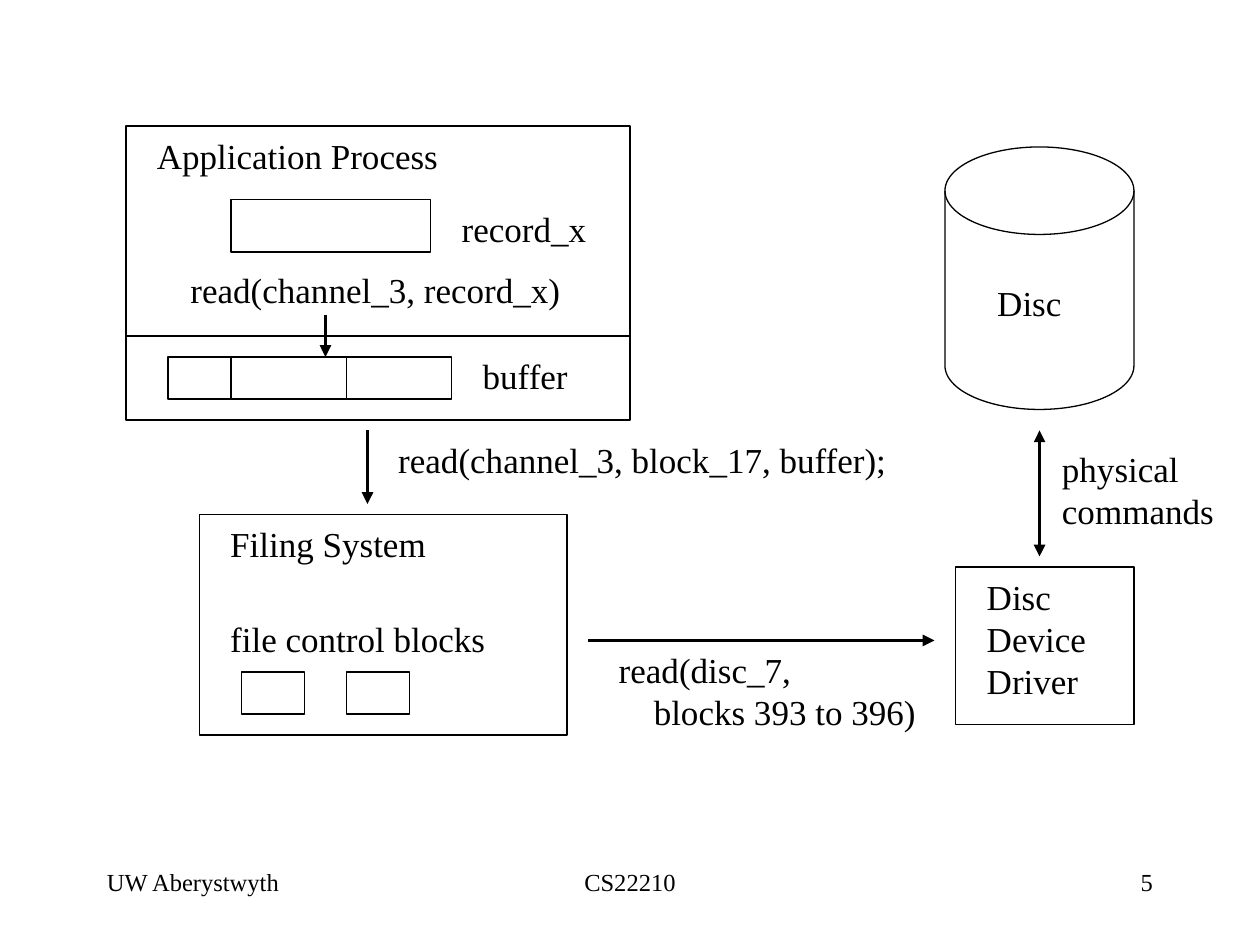
"""Build the slide that follows a file read from application process to disc."""
from pptx import Presentation
from pptx.dml.color import RGBColor
from pptx.enum.shapes import MSO_CONNECTOR as CONN, MSO_SHAPE as SHAPE
from pptx.enum.text import MSO_AUTO_SIZE as FIT, PP_ALIGN as ALIGN
from pptx.oxml.ns import qn
from pptx.util import Pt
from lxml.etree import SubElement

BLACK = RGBColor(0, 0, 0)


class Diagram:
    font, size, footer_size = "Times New Roman", 20, 14
    thin, thick = 0.75, 2.25

    def __init__(self, slide):
        self.s = slide

    def shape(self, x, y, w, h, kind=SHAPE.RECTANGLE):
        sp = self.s.shapes.add_shape(kind, Pt(x), Pt(y), Pt(w), Pt(h))
        sp.shadow.inherit = False
        sp.fill.background()
        sp.line.color.rgb = BLACK
        sp.line.width = Pt(self.thin)

    def line(self, x1, y1, x2, y2, width=thin, ends=()):
        cx = self.s.shapes.add_connector(CONN.STRAIGHT, Pt(x1), Pt(y1), Pt(x2), Pt(y2))
        cx.line.color.rgb = BLACK
        cx.line.width = Pt(width)
        ln = cx.line._get_or_add_ln()
        for end in ends:
            SubElement(ln, qn(f"a:{end}"), type="triangle")
        SubElement(cx._element.spPr, qn("a:effectLst"))

    def arrow(self, x1, y1, x2, y2, ends=("tailEnd",)):
        self.line(x1, y1, x2, y2, self.thick, ends)

    def text(self, text, x, y, w, h, size=size, align=ALIGN.LEFT, wrap=False, hang=0):
        tf = self.s.shapes.add_textbox(Pt(x), Pt(y), Pt(w), Pt(h)).text_frame
        tf.word_wrap = wrap
        tf.auto_size = FIT.NONE if wrap else FIT.SHAPE_TO_FIT_TEXT
        p = tf.paragraphs[0]
        p.text = text
        p.alignment = align
        if hang:
            pPr = p._p.get_or_add_pPr()
            pPr.set("marL", str(Pt(hang)))
            pPr.set("indent", str(-Pt(hang)))
        p.font.name = self.font
        p.font.size = Pt(size)
        p.font.color.rgb = BLACK

    def label(self, text, x, y, w, lines=1, hang=0):
        self.text(text, x, y, w, 7.5 + 24 * lines, hang=hang)

    def footer(self, text, x, w, align):
        self.text(text, x, 492, w, 36, self.footer_size, align, wrap=True)


def main():
    prs = Presentation()
    prs.slide_width, prs.slide_height = Pt(720), Pt(540)
    d = Diagram(prs.slides.add_slide(prs.slide_layouts[6]))

    d.shape(72, 72, 288, 168)
    d.line(72, 192, 360, 192)
    d.shape(132, 114, 114, 30)
    d.label("Application Process", 82.5, 73.5, 178)
    d.label("record_x", 256.75, 115.25, 88)
    d.label("read(channel_3, record_x)", 101.75, 150, 230)
    d.shape(96, 204, 162, 24)
    for x in (132, 198):
        d.line(x, 204, x, 228)
    d.label("buffer", 268.75, 199.25, 66)

    d.shape(114, 294, 210, 126)
    d.label("Filing System", 124.5, 295.25, 130)
    for x in (138, 198):
        d.shape(x, 384, 36, 24)
    d.label("file control blocks", 124.5, 349.25, 164)
    d.arrow(186, 180, 186, 204)
    d.arrow(210, 246, 210, 288)
    d.label("read(channel_3, block_17, buffer);", 220.5, 247.25, 297)

    d.shape(546, 324, 102, 90)
    d.label("Disc\vDevice\vDriver", 556.75, 325.25, 74, 3)
    d.arrow(336, 366, 534, 366)
    d.label("read(disc_7,\vblocks 393 to 396)", 346.5, 367.25, 188, 2, hang=20)

    d.shape(540, 84, 108, 150, SHAPE.FLOWCHART_MAGNETIC_DISK)
    d.label("Disc", 562.75, 157.25, 54)
    d.arrow(594, 318, 594, 246, ("headEnd", "tailEnd"))
    d.label("physical\vcommands", 599.75, 252, 104, 2)

    d.footer("CS22210", 246, 228, ALIGN.CENTER)
    d.footer("5", 516, 150, ALIGN.RIGHT)
    d.footer("UW Aberystwyth", 54, 150, ALIGN.LEFT)
    prs.save("out.pptx")


if __name__ == "__main__":
    main()
